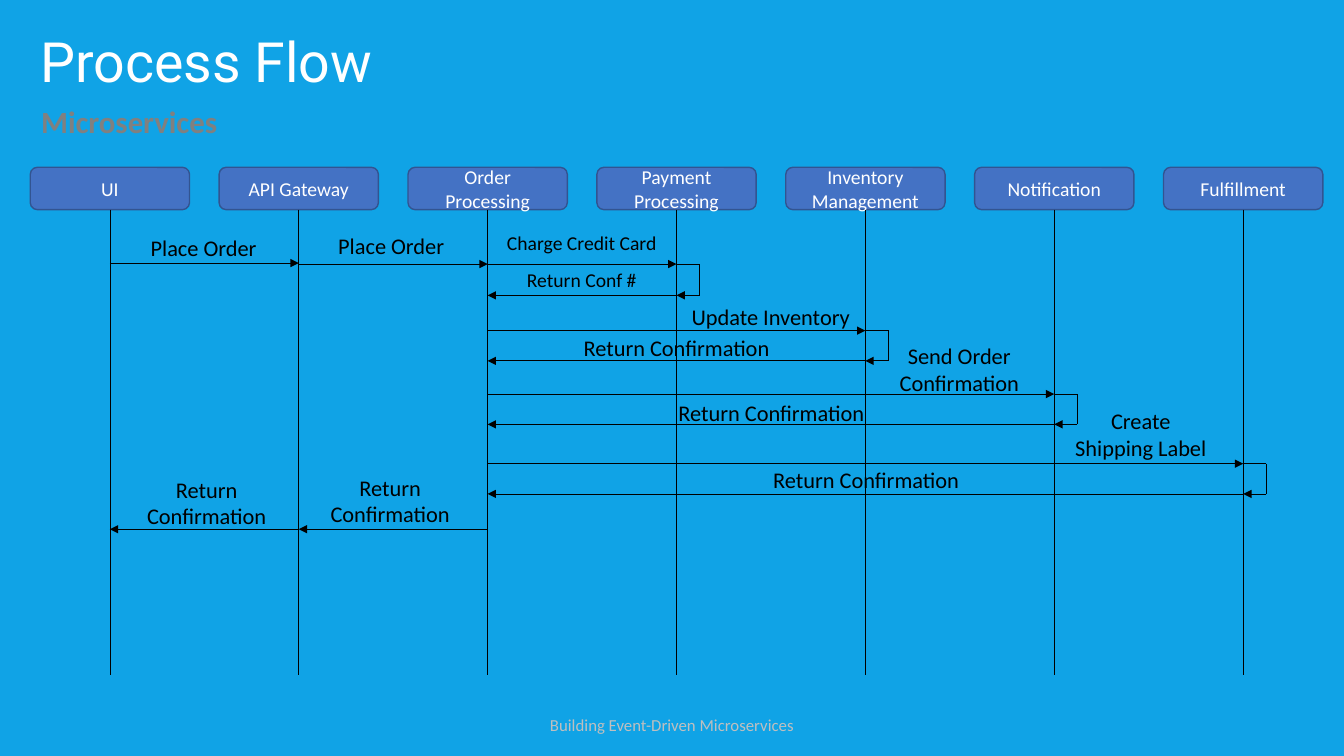
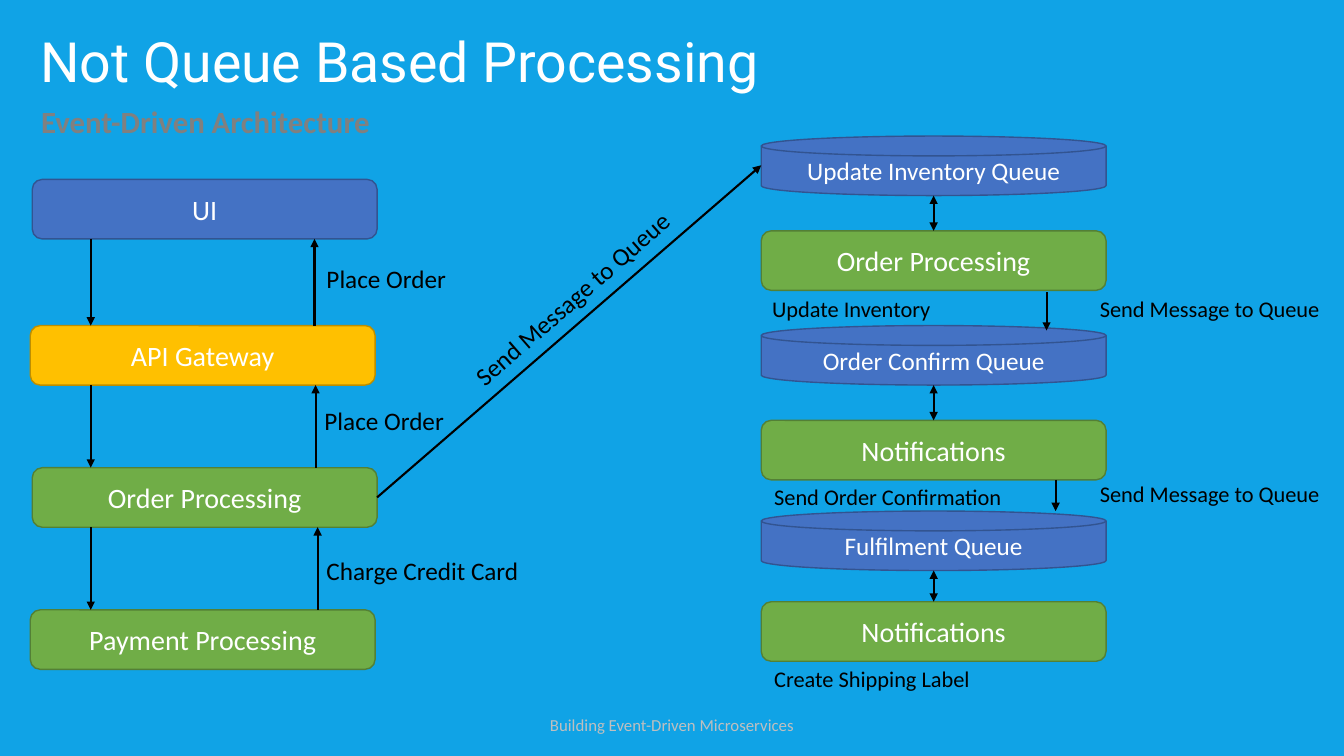
from lxml.etree import SubElement
from pptx import Presentation
from pptx.dml.color import RGBColor
from pptx.enum.shapes import MSO_CONNECTOR as Connector, MSO_SHAPE as Preset
from pptx.enum.text import MSO_ANCHOR as Anchor, MSO_AUTO_SIZE as AutoSize, PP_ALIGN as Align
from pptx.oxml.ns import qn
from pptx.util import Inches, Pt

BACKGROUND, WHITE, BLACK = "10A3E6", "FFFFFF", "000000"
BLUE, GREEN, AMBER = ("4472C4", "325491"), ("70AD47", "538035"), ("FFC000", "BD8E00")
BODY = {"name": "Calibri", "size": 16, "color": BLACK}
TITLE = {"name": "Roboto", "size": 39.6, "color": WHITE}
SUBTITLE = BODY | {"size": 22, "color": "808080", "bold": True}
FOOTER = BODY | {"size": 12, "color": "BFBFBF"}
FOOTER_TEXT = "Building Event-Driven Microservices"

SERVICES = ["UI", "API Gateway", "Order Processing", "Payment Processing",
            "Inventory Management", "Notification", "Fulfillment"]
SERVICE_LEFT, SERVICE_TOP, SERVICE_WIDTH, SERVICE_HEIGHT = 0.3, 1.66, 1.58, 0.42
SERVICE_STEP = (11.54 - SERVICE_LEFT) / (len(SERVICES) - 1)
LIFELINE_BOTTOM, LOOP_WIDTH = 6.7, 0.23

MESSAGES = [
    (0, 1, 2.61, "Place Order", 16, (1.16, 2.27, 1.72, 0.37)),
    (1, 2, 2.62, "Place Order", 16, (3.02, 2.25, 1.72, 0.37)),
    (2, 3, 2.62, "Charge Credit Card", 14, (4.91, 2.24, 1.72, 0.34)),
    (3, 2, 2.93, "Return Conf #", 14, (4.91, 2.61, 1.72, 0.34)),
    (2, 4, 3.28, "Update Inventory", 16, (6.71, 2.96, 1.87, 0.37)),
    (4, 2, 3.58, "Return Confirmation", 16, (4.84, 3.27, 3.74, 0.37)),
    (2, 5, 3.91, "Send Order Confirmation", 16, (8.58, 3.35, 1.87, 0.64)),
    (5, 2, 4.21, "Return Confirmation", 16, (4.84, 3.91, 5.62, 0.37)),
    (2, 6, 4.6, "Create\nShipping Label", 16, (10.38, 3.99, 1.87, 0.64)),
    (6, 2, 4.9, "Return Confirmation", 16, (4.85, 4.58, 7.48, 0.37)),
    (2, 1, 5.25, "Return Confirmation", 16, (2.91, 4.65, 1.92, 0.64)),
    (1, 0, 5.25, "Return Confirmation", 16, (1.09, 4.67, 1.92, 0.64)),
]
LOOPS = [(3, 2.62, 2.93), (4, 3.28, 3.58), (5, 3.91, 4.21), (6, 4.6, 4.9)]

STEP_WIDTH, STEP_HEIGHT = 3.42, 0.59
REQUEST_STEPS = [("UI", BLUE, 0.32, 1.78), ("API Gateway", AMBER, 0.3, 3.23),
                 ("Order Processing", GREEN, 0.32, 4.64),
                 ("Payment Processing", GREEN, 0.3, 6.05)]
REQUEST_X, REPLY_XS = 0.9, [3.12, 3.13, 3.15]
QUEUE_LEFT = 7.55
QUEUE_STEPS = [("Update Inventory Queue", 1.35, "Order Processing", 2.29),
               ("Order Confirm Queue", 3.23, "Notifications", 4.17),
               ("Fulfilment Queue", 5.07, "Notifications", 5.97)]
HANDOVERS = [(10.38, 2.9, 3.28), (10.47, 4.76, 5.07)]
NOTES = [
    ("Place Order", 18, (3.14, 2.56, 1.4, 0.4), 0),
    ("Place Order", 18, (3.12, 3.97, 1.4, 0.4), 0),
    ("Charge Credit Card", 18, (3.14, 5.46, 2.13, 0.4), 0),
    ("Update Inventory", 16, (7.56, 2.88, 1.79, 0.37), 0),
    ("Send Order Confirmation", 16, (7.58, 4.74, 2.49, 0.37), 0),
    ("Create Shipping Label", 16, (7.58, 6.55, 2.49, 0.37), 0),
    ("Send Message to Queue", 16, (10.81, 2.88, 2.41, 0.37), 0),
    ("Send Message to Queue", 16, (10.81, 4.71, 2.41, 0.37), 0),
    ("Send Message to Queue", 18, (4.34, 2.75, 2.69, 0.4), 318.9),
]


def rgb(value):
    return RGBColor.from_string(value)


def set_text(shape, text, style, **paragraph_format):
    frame = shape.text_frame
    frame.text = text
    for paragraph in frame.paragraphs:
        for name, value in paragraph_format.items():
            setattr(paragraph, name, value)
        for name, value in style.items():
            if name == "color":
                paragraph.font.color.rgb = rgb(value)
            else:
                setattr(paragraph.font, name, Pt(value) if name == "size" else value)
    return frame


def add_text(slide, text, box, style, wrap=True, anchor=Anchor.TOP, **paragraph_format):
    shape = slide.shapes.add_textbox(*map(Inches, box))
    frame = set_text(shape, text, style, **paragraph_format)
    frame.word_wrap, frame.vertical_anchor = wrap, anchor
    return shape


def add_box(slide, text, box, colors, size, preset=Preset.ROUNDED_RECTANGLE):
    shape = slide.shapes.add_shape(preset, *map(Inches, box))
    shape.shadow.inherit = False
    fill, outline = colors
    shape.fill.solid()
    shape.fill.fore_color.rgb = rgb(fill)
    shape.line.color.rgb = rgb(outline)
    shape.line.width = Pt(1)
    frame = set_text(shape, text, BODY | {"size": size, "color": WHITE}, alignment=Align.CENTER)
    frame.word_wrap, frame.vertical_anchor = True, Anchor.MIDDLE
    return shape


def add_line(slide, start, end, width, arrows=()):
    line = slide.shapes.add_connector(Connector.STRAIGHT, *map(Inches, (*start, *end)))
    line.line.color.rgb = rgb(BLACK)
    line.line.width = Pt(width)
    for arrow in arrows:
        SubElement(line.line._get_or_add_ln(), qn(f"a:{arrow}"), type="triangle")
    SubElement(line._element.spPr, qn("a:effectLst"))
    return line


def add_slide(presentation, title, subtitle):
    slide = presentation.slides.add_slide(presentation.slide_layouts[5])
    heading = slide.shapes.title
    for name, value in zip(("left", "top", "width", "height"), (0.3, 0.27, 12.71, 0.74)):
        setattr(heading, name, Inches(value))
    frame = set_text(heading, title, TITLE, alignment=Align.LEFT, line_spacing=0.9)
    frame.vertical_anchor, frame.auto_size = Anchor.MIDDLE, AutoSize.NONE
    add_text(slide, subtitle, (0.31, 1.04, 12.72, 0.4), SUBTITLE,
             anchor=Anchor.MIDDLE, line_spacing=0.8)
    add_text(slide, FOOTER_TEXT, (5.34, 7.04, 2.65, 0.3), FOOTER,
             wrap=False, alignment=Align.CENTER)
    return slide


def build_process_flow(presentation):
    slide = add_slide(presentation, "Process Flow", "Microservices")
    lifelines = []
    for index, service in enumerate(SERVICES):
        left = SERVICE_LEFT + index * SERVICE_STEP
        x = left + SERVICE_WIDTH / 2
        lifelines.append(x)
        box = add_box(slide, service, (left, SERVICE_TOP, SERVICE_WIDTH, SERVICE_HEIGHT), BLUE, 14)
        lifeline = add_line(slide, (x, SERVICE_TOP + SERVICE_HEIGHT), (x, LIFELINE_BOTTOM), 0.5)
        lifeline.begin_connect(box, 2)
    for sender, receiver, y, text, size, box in MESSAGES:
        add_line(slide, (lifelines[sender], y), (lifelines[receiver], y), 0.5, ["tailEnd"])
        add_text(slide, text, box, BODY | {"size": size}, alignment=Align.CENTER)
    for service, top, bottom in LOOPS:
        x = lifelines[service]
        outer = x + LOOP_WIDTH
        add_line(slide, (x, top), (outer, top), 0.5)
        add_line(slide, (outer, top), (outer, bottom), 0.5)
        add_line(slide, (outer, bottom), (x, bottom), 0.5, ["tailEnd"])


def build_queue_processing(presentation):
    slide = add_slide(presentation, "Not Queue Based Processing", "Event-Driven Architecture")
    request_boxes = {
        text: add_box(slide, text, (left, top, STEP_WIDTH, STEP_HEIGHT), colors, 20)
        for text, colors, left, top in REQUEST_STEPS}
    tops = [top for *_, top in REQUEST_STEPS]
    for top, next_top, reply_x in zip(tops, tops[1:], REPLY_XS):
        bottom = top + STEP_HEIGHT
        add_line(slide, (REQUEST_X, bottom), (REQUEST_X, next_top), 1.5, ["tailEnd"])
        add_line(slide, (reply_x, next_top), (reply_x, bottom), 1.5, ["tailEnd"])

    middle = QUEUE_LEFT + STEP_WIDTH / 2
    for queue, queue_top, service, service_top in QUEUE_STEPS:
        add_box(slide, queue, (QUEUE_LEFT, queue_top, STEP_WIDTH, STEP_HEIGHT), BLUE, 18,
                Preset.FLOWCHART_MAGNETIC_DISK)
        box = add_box(slide, service, (QUEUE_LEFT, service_top, STEP_WIDTH, STEP_HEIGHT), GREEN, 20)
        link = add_line(slide, (middle, queue_top + STEP_HEIGHT), (middle, service_top), 1.5,
                        ["headEnd", "tailEnd"])
        link.end_connect(box, 0)
    for x, top, bottom in HANDOVERS:
        add_line(slide, (x, top), (x, bottom), 1.5, ["tailEnd"])
    to_queue = add_line(slide, (3.74, 4.93), (QUEUE_LEFT, 1.64), 1.5, ["tailEnd"])
    to_queue.begin_connect(request_boxes["Order Processing"], 3)

    for text, size, box, rotation in NOTES:
        note = add_text(slide, text, box, BODY | {"size": size}, wrap=False)
        note.rotation = rotation


def main():
    presentation = Presentation()
    presentation.slide_width, presentation.slide_height = Inches(13.33), Inches(7.5)
    fill = presentation.slide_master.background.fill
    fill.solid()
    fill.fore_color.rgb = rgb(BACKGROUND)
    build_process_flow(presentation)
    build_queue_processing(presentation)
    presentation.save("out.pptx")


if __name__ == "__main__":
    main()
